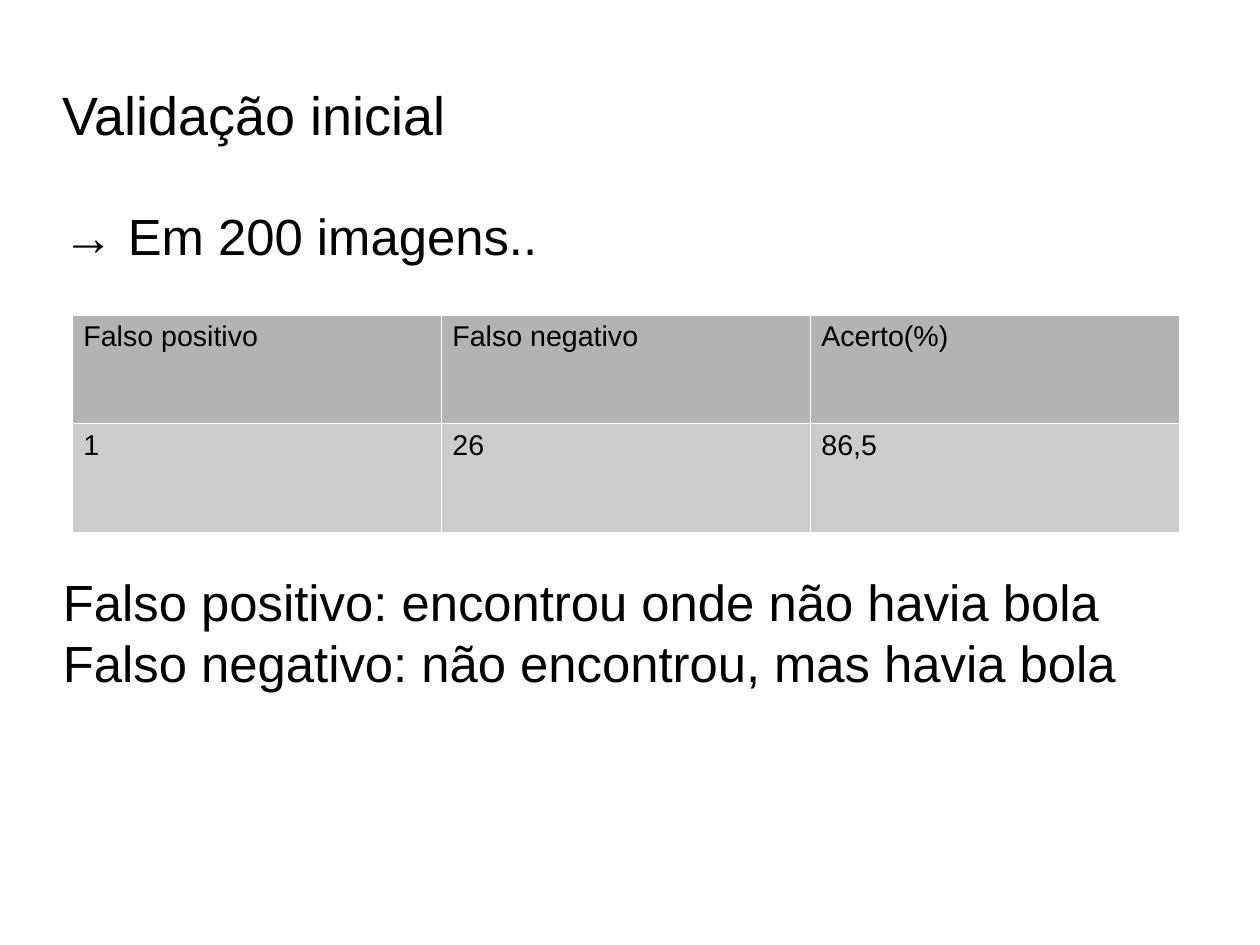
import pptx
import pptx.util
import pptx.dml.color
import pptx.enum.text
import pptx.oxml
from pptx.util import Cm

COLORS = {"text": "000000", "header": "B3B3B3", "body": "CCCCCC", "border": "FFFFFF"}
FONT = "Arial"
NS = "http://schemas.openxmlformats.org/drawingml/2006/main"


def rgb(name):
    return pptx.dml.color.RGBColor.from_string(COLORS[name])


def write(tf, text, size=18, color="text", spacing=None):
    for i, line in enumerate(text.split("\n")):
        p = tf.paragraphs[0] if i == 0 else tf.add_paragraph()
        if spacing:
            p.line_spacing = pptx.util.Pt(spacing)
        r = p.add_run()
        r.text = line
        r.font.name = FONT
        r.font.size = pptx.util.Pt(size)
        r.font.color.rgb = rgb(color)


def add_text(s, text, left, top, width, height, anchor="TOP", **fmt):
    tf = s.shapes.add_textbox(Cm(left), Cm(top), Cm(width), Cm(height)).text_frame
    tf.word_wrap = True
    tf.margin_left = tf.margin_right = tf.margin_top = tf.margin_bottom = 0
    tf.vertical_anchor = getattr(pptx.enum.text.MSO_ANCHOR, anchor)
    write(tf, text, **fmt)


def add_borders(cell):
    tcPr = cell._tc.get_or_add_tcPr()
    for i, side in enumerate(("lnL", "lnR", "lnT", "lnB")):
        ln = pptx.oxml.parse_xml(
            f'<a:{side} xmlns:a="{NS}" w="720"><a:solidFill>'
            f'<a:srgbClr val="{COLORS["border"]}"/></a:solidFill></a:{side}>'
        )
        tcPr.insert(i, ln)


def add_grid(s, rows, left, top, width, height):
    frame = s.shapes.add_table(len(rows), len(rows[0]), Cm(left), Cm(top), Cm(width), Cm(height))
    for i, row in enumerate(rows):
        for j, text in enumerate(row):
            cell = frame.table.cell(i, j)
            cell.fill.solid()
            cell.fill.fore_color.rgb = rgb("body" if i else "header")
            write(cell.text_frame, text)
            add_borders(cell)


def main():
    prs = pptx.Presentation()
    prs.slide_width, prs.slide_height = Cm(28), Cm(21)
    s = prs.slides.add_slide(prs.slide_layouts[6])
    add_text(s, "Validação inicial", 1.4, 0.81, 19.5, 3.45, anchor="MIDDLE", size=34)
    add_text(s, "→ Em 200 imagens..", 1.4, 4.55, 25.2, 1.36, size=32, spacing=38.4)
    rows = [("Falso positivo", "Falso negativo", "Acerto(%)"), ("1", "26", "86,5")]
    add_grid(s, rows, 1.6, 7, 24.6, 4.82)
    definitions = (
        "Falso positivo: encontrou onde não havia bola\n"
        "Falso negativo: não encontrou, mas havia bola"
    )
    add_text(s, definitions, 1.4, 12.69, 25.2, 2.72, size=32, spacing=38.4)
    prs.save("out.pptx")


if __name__ == "__main__":
    main()
